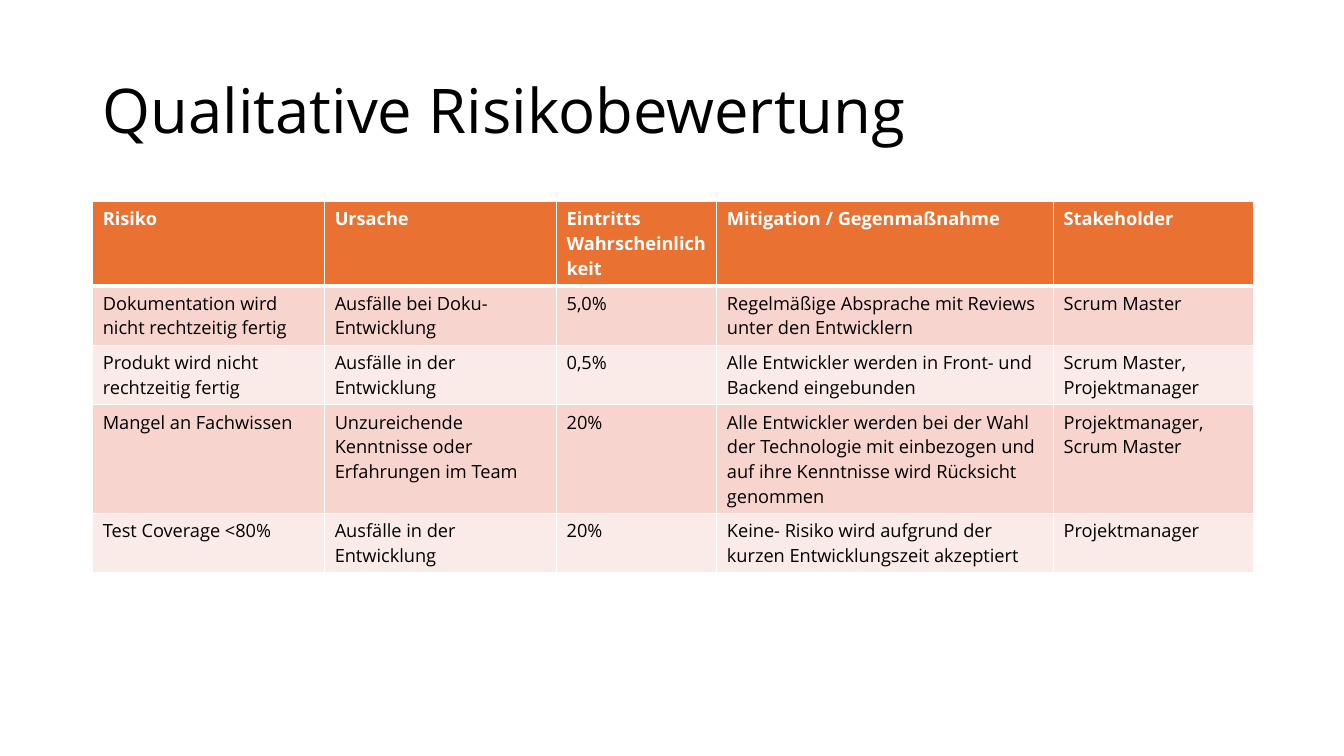
from dataclasses import dataclass

from lxml import etree
from pptx import Presentation
from pptx.dml.color import RGBColor
from pptx.enum.text import MSO_ANCHOR, MSO_AUTO_SIZE, PP_ALIGN
from pptx.oxml.ns import qn
from pptx.slide import Slide
from pptx.table import _Cell
from pptx.text.text import TextFrame
from pptx.util import Inches, Pt

LEFT = PP_ALIGN.LEFT
TOP = MSO_ANCHOR.TOP
MIDDLE = MSO_ANCHOR.MIDDLE
FIXED = MSO_AUTO_SIZE.NONE
TITLE_ONLY = 5


@dataclass(frozen=True)
class Theme:
    font: str = "Open Sans"
    title: int = 44
    body: int = 13
    ink: str = "000000"
    paper: str = "FFFFFF"
    head: str = "E97132"
    bands: tuple[str, str] = ("F7D5CE", "FBEBE8")
    thin: int = 1
    thick: int = 3


@dataclass(frozen=True)
class Risk:
    name: str
    cause: str
    chance: str
    action: str
    owner: str
    height: float = 0.55

    def texts(self) -> tuple[str, ...]:
        return self.name, self.cause, self.chance, self.action, self.owner


THEME = Theme()
WIDTHS = (2.3, 2.3, 1.59, 3.34, 1.98)
HEAD = Risk("Risiko", "Ursache", "Eintritts Wahrscheinlichkeit",
            "Mitigation / Gegenmaßnahme", "Stakeholder", 0.78)
RISKS = (
    Risk("Dokumentation wird nicht rechtzeitig fertig",
         "Ausfälle bei Doku-Entwicklung", "5,0%",
         "Regelmäßige Absprache mit Reviews unter den Entwicklern",
         "Scrum Master"),
    Risk("Produkt wird nicht rechtzeitig fertig",
         "Ausfälle in der Entwicklung", "0,5%",
         "Alle Entwickler werden in Front- und Backend eingebunden",
         "Scrum Master,\nProjektmanager"),
    Risk("Mangel an Fachwissen",
         "Unzureichende Kenntnisse oder Erfahrungen im Team", "20%",
         "Alle Entwickler werden bei der Wahl der Technologie mit einbezogen "
         "und auf ihre Kenntnisse wird Rücksicht genommen",
         "Projektmanager,\nScrum Master", 1),
    Risk("Test Coverage <80%",
         "Ausfälle in der Entwicklung", "20%",
         "Keine- Risiko wird aufgrund der kurzen Entwicklungszeit akzeptiert",
         "Projektmanager"),
)


def write(frame: TextFrame, text: str, *, size: int, color: str = THEME.ink,
          bold: bool = False, space: float = 1.0) -> None:
    frame.text = text
    frame.word_wrap = True
    for para in frame.paragraphs:
        para.alignment = LEFT
        para.line_spacing = space
        for run in para.runs:
            run.font.name = THEME.font
            run.font.size = Pt(size)
            run.font.bold = bold
            run.font.color.rgb = RGBColor.from_string(color)


def edge(cell: _Cell, top: int, base: int) -> None:
    props = cell._tc.get_or_add_tcPr()
    sides = {"L": THEME.thin, "R": THEME.thin, "T": top, "B": base}
    for spot, (side, width) in enumerate(sides.items()):
        line = etree.Element(qn(f"a:ln{side}"), w=str(Pt(width)))
        fill = etree.SubElement(line, qn("a:solidFill"))
        etree.SubElement(fill, qn("a:srgbClr"), val=THEME.paper)
        props.insert(spot, line)


def add_title(slide: Slide, text: str) -> None:
    title = slide.shapes.title
    title.left, title.top = Inches(0.92), Inches(0.4)
    title.width, title.height = Inches(11.5), Inches(1.45)
    frame = title.text_frame
    frame.auto_size = FIXED
    frame.vertical_anchor = MIDDLE
    write(frame, text, size=THEME.title, space=0.9)


def add_risks(slide: Slide, risks: tuple[Risk, ...]) -> None:
    rows = (HEAD, *risks)
    high = sum(row.height for row in rows)
    table = slide.shapes.add_table(
        len(rows), len(WIDTHS), Inches(0.92), Inches(2),
        Inches(sum(WIDTHS)), Inches(high)).table
    for col, width in zip(table.columns, WIDTHS):
        col.width = Inches(width)
    for at, row in enumerate(rows):
        table.rows[at].height = Inches(row.height)
        head = at == 0
        fill = THEME.head if head else THEME.bands[(at - 1) % 2]
        top = THEME.thick if at == 1 else THEME.thin
        base = THEME.thick if head else THEME.thin
        for cell, text in zip(table.rows[at].cells, row.texts()):
            cell.fill.solid()
            cell.fill.fore_color.rgb = RGBColor.from_string(fill)
            cell.vertical_anchor = TOP
            edge(cell, top, base)
            write(cell.text_frame, text, size=THEME.body, bold=head,
                  color=THEME.paper if head else THEME.ink)


def main() -> None:
    deck = Presentation()
    deck.slide_width, deck.slide_height = Inches(13.33), Inches(7.5)
    slide = deck.slides.add_slide(deck.slide_layouts[TITLE_ONLY])
    add_title(slide, "Qualitative Risikobewertung")
    add_risks(slide, RISKS)
    deck.save("out.pptx")


if __name__ == "__main__":
    main()
